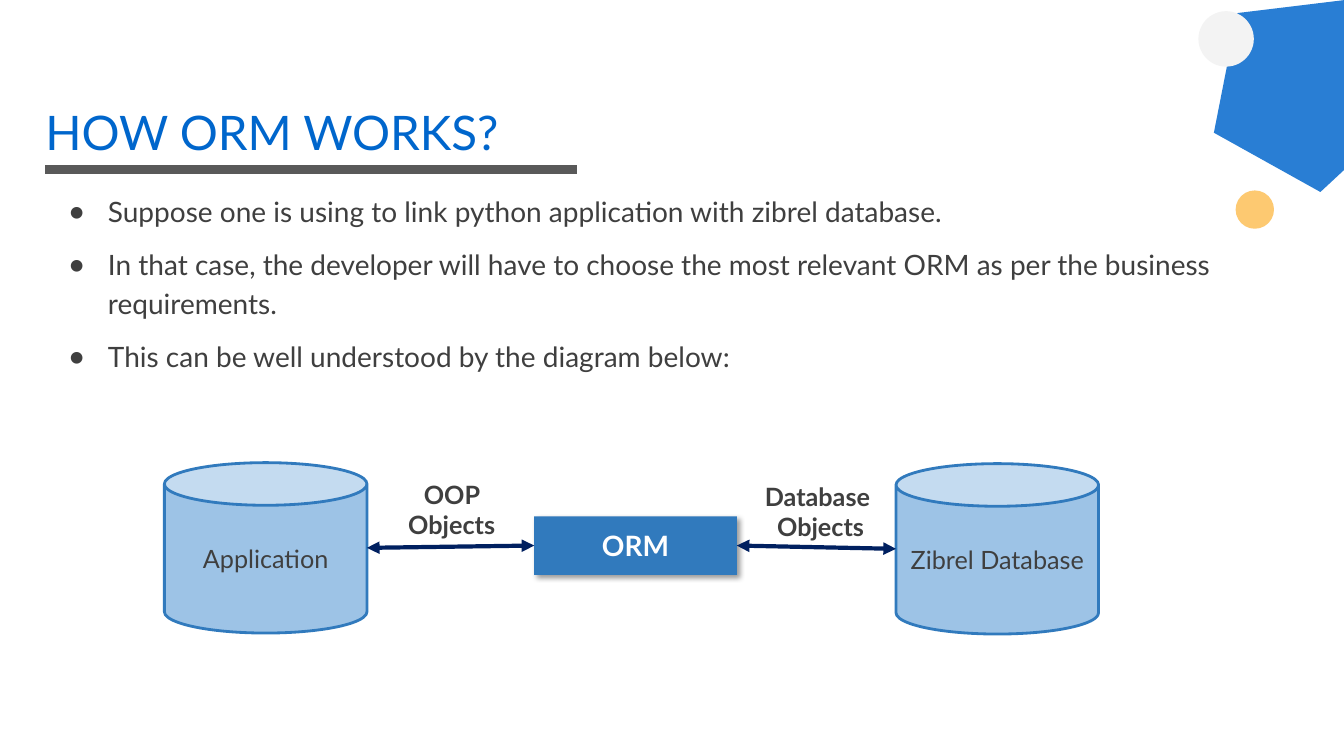
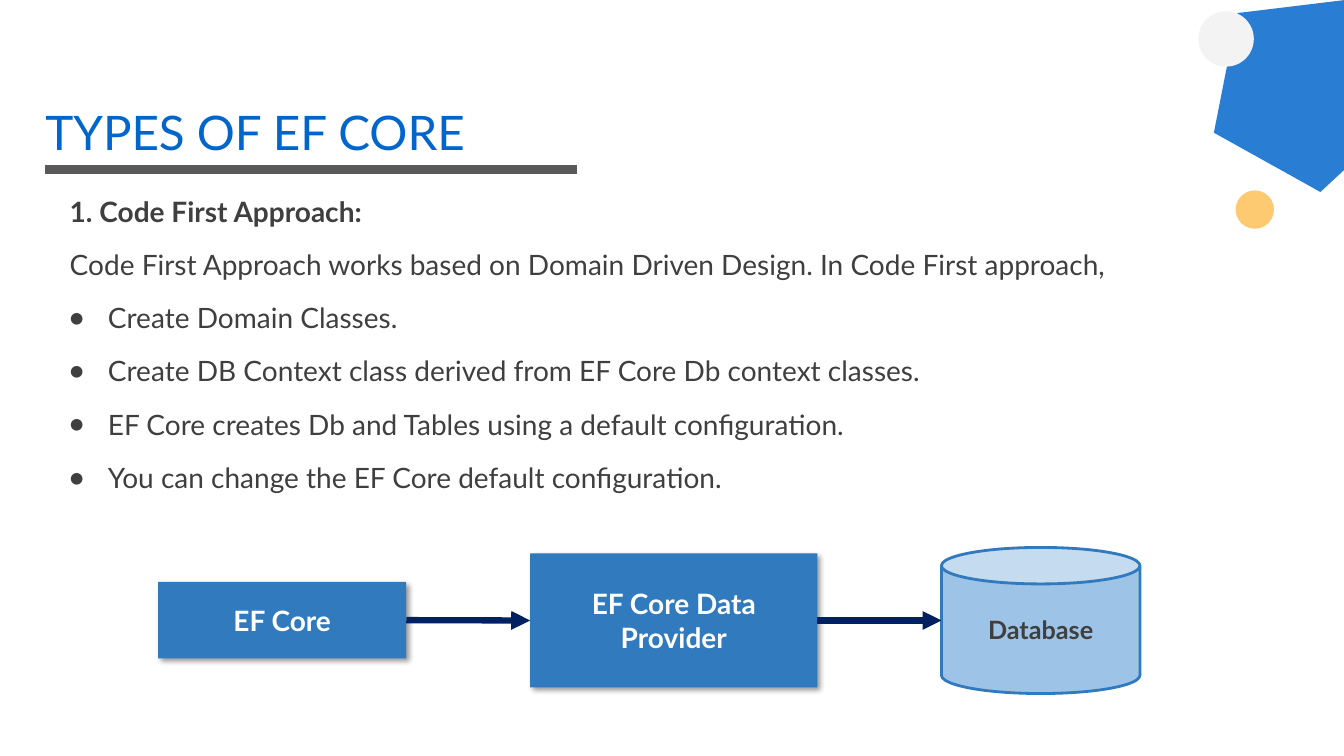
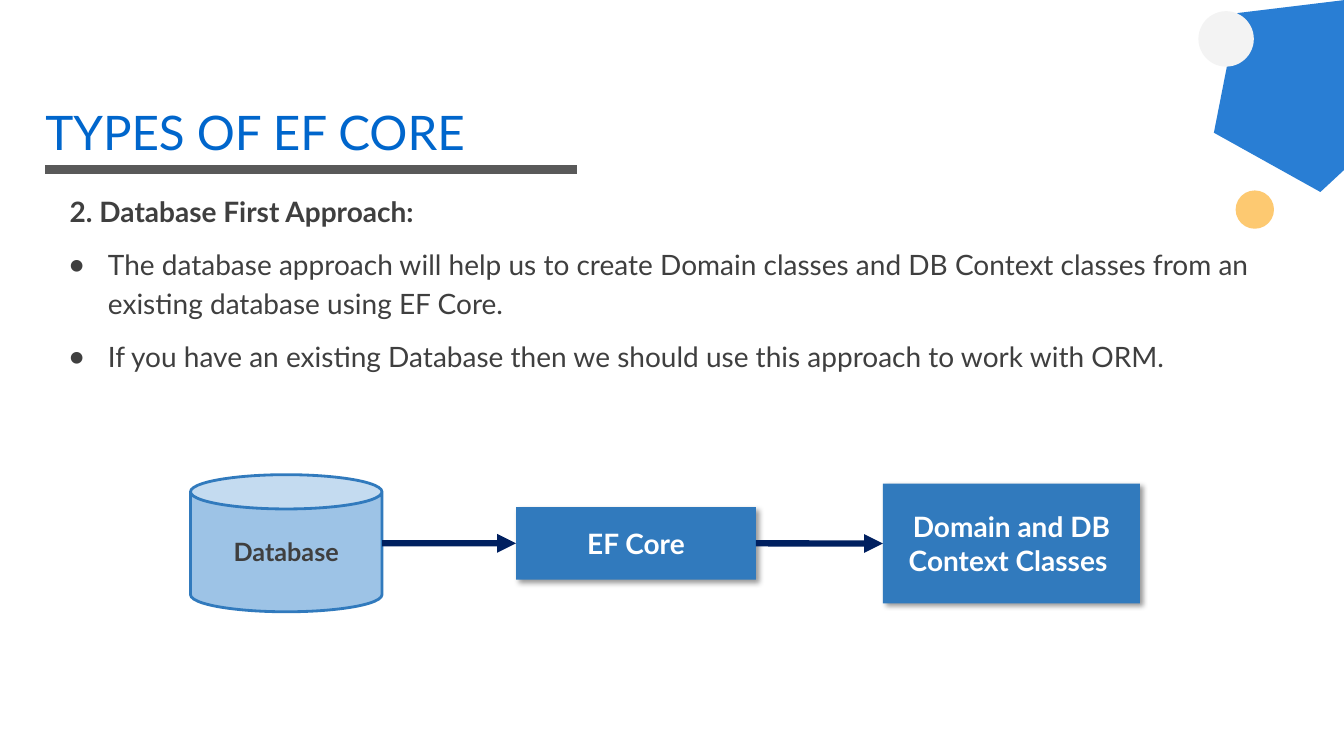
from lxml import etree
from pptx import Presentation
from pptx.dml.color import RGBColor
from pptx.enum import shapes, text
from pptx.oxml.ns import qn
from pptx.util import Pt

FONT = "Lato"
HUES = {
    "title": "0066CC", "text": "3F3F3F", "white": "FFFFFF", "rule": "595959",
    "gold": "FCA106", "pale": "F3F3F3", "box": "317ABD", "can": "9DC3E6",
    "arrow": "002060",
}
KINDS = shapes.MSO_SHAPE
MID = text.MSO_ANCHOR.MIDDLE
LEFT, CENTER = text.PP_ALIGN.LEFT, text.PP_ALIGN.CENTER


def hue(name):
    return RGBColor.from_string(HUES[name])


def node(parent, tag, **attrs):
    """Append a drawing element to parent."""
    item = etree.SubElement(parent, qn("a:" + tag))
    for key, value in attrs.items():
        item.set(key, str(value))
    return item


def write(frame, words, size=20, color="text", bold=False, align=CENTER,
          anchor=text.MSO_ANCHOR.TOP, pad=(7.2, 3.6), wrap=True):
    """Fill a frame with one paragraph per line of words."""
    frame.word_wrap = wrap
    frame.vertical_anchor = anchor
    frame.margin_left = frame.margin_right = Pt(pad[0])
    frame.margin_top = frame.margin_bottom = Pt(pad[1])
    for i, line in enumerate(words.split("\n")):
        par = frame.add_paragraph() if i else frame.paragraphs[0]
        par.alignment = align
        run = par.add_run()
        run.text = line
        font = run.font
        font.name, font.size, font.bold = FONT, Pt(size), bold
        font.color.rgb = hue(color)


class Deck:
    def __init__(self):
        self.show = Presentation()
        self.show.slide_width, self.show.slide_height = Pt(960), Pt(540)
        self.slide = None

    def page(self, title, points, head=""):
        """Start a slide with its decoration, title and body."""
        self.slide = self.show.slides.add_slide(self.show.slide_layouts[6])
        self.line((32.4, 121), (412, 121), "rule", 6)
        self.shape(KINDS.REGULAR_PENTAGON, (859, -8.6, 141, 134), "title",
                   alpha=84).rotation = 317.1
        self.shape(KINDS.OVAL, (882.6, 136, 27.4, 27.4), "gold", alpha=57)
        self.shape(KINDS.OVAL, (856, 8, 39.6, 39.6), "pale")
        self.body(head, points)
        self.label(title, (32.4, 72.7, 894, 57), size=34, color="title",
                   align=LEFT, pad=(0, 0.7))

    def shape(self, kind, spot, fill, alpha=100):
        item = self.slide.shapes.add_shape(kind, *map(Pt, spot))
        item.shadow.inherit = False
        item.fill.solid()
        item.fill.fore_color.rgb = hue(fill)
        item.line.fill.background()
        if alpha < 100:
            tint = item._element.spPr.find(".//" + qn("a:srgbClr"))
            node(tint, "alpha", val=alpha * 1000)
        return item

    def label(self, words, spot, **style):
        item = self.slide.shapes.add_textbox(*map(Pt, spot))
        write(item.text_frame, words, **style)
        return item

    def body(self, head, points):
        """Put plain head lines above bulleted points."""
        heads = head.split("\n") if head else []
        item = self.label("\n".join(heads + points), (32.4, 125.3, 885, 342.7),
                          align=LEFT, pad=(9.4, 9.4))
        for i, par in enumerate(item.text_frame.paragraphs):
            par.line_spacing, par.space_before = Pt(28), Pt(10)
            props = par._p.get_or_add_pPr()
            if i < len(heads):
                par.runs[0].font.bold = i == 0
                props.set("marL", str(Pt(8)))
                continue
            props.set("marL", str(Pt(35.3)))
            props.set("indent", str(Pt(-27.3)))
            node(node(props, "buClr"), "srgbClr", val=HUES["text"])
            node(props, "buSzPct", val=85000)
            node(props, "buFont", typeface=FONT)
            node(props, "buChar", char="●")

    def can(self, words, spot, bold=True):
        item = self.shape(KINDS.CAN, spot, "can")
        item.line.color.rgb = hue("box")
        item.line.width = Pt(2)
        write(item.text_frame, words, size=18, bold=bold, anchor=MID,
              pad=(3.6, 3.6))
        return item

    def box(self, words, spot):
        item = self.shape(KINDS.RECTANGLE, spot, "box")
        glow = node(item._element.spPr.find(qn("a:effectLst")), "outerShdw",
                    blurRad=Pt(4), dist=Pt(3), dir=2700000, algn="tl",
                    rotWithShape=0)
        node(node(glow, "srgbClr", val="000000"), "alpha", val=40000)
        write(item.text_frame, words, color="white", bold=True, anchor=MID)
        return item

    def line(self, start, end, color, width, tips=()):
        ends = [Pt(v) for v in (*start, *end)]
        item = self.slide.shapes.add_connector(
            shapes.MSO_CONNECTOR.STRAIGHT, *ends)
        item.line.color.rgb = hue(color)
        item.line.width = Pt(width)
        for tip in tips:
            node(item.line._get_or_add_ln(), tip, type="triangle")
        node(item._element.spPr, "effectLst")
        return item

    def link(self, left, right, width=4.5, tips=("tailEnd",)):
        """Draw an arrow from the right side of one shape to the next."""
        start = (left.left + left.width).pt if hasattr(
            left.left + left.width, "pt") else (left.left + left.width) / Pt(1)
        item = self.line(
            (start, (left.top + left.height / 2) / Pt(1)),
            (right.left / Pt(1), (right.top + right.height / 2) / Pt(1)),
            "arrow", width, tips)
        if left.auto_shape_type == KINDS.RECTANGLE:
            item.begin_connect(left, 3)
        if right.auto_shape_type == KINDS.RECTANGLE:
            item.end_connect(right, 1)


def main():
    deck = Deck()

    deck.page("HOW ORM WORKS?", [
        "Suppose one is using to link python application with zibrel database.",
        "In that case, the developer will have to choose the most relevant ORM "
        "as per the business requirements.",
        "This can be well understood by the diagram below:",
    ])
    app = deck.can("Application", (117.4, 330.5, 144.7, 121.7), bold=False)
    base = deck.can("Zibrel Database", (640, 331.2, 144.7, 121.7), bold=False)
    orm = deck.box("ORM", (381.6, 368.8, 144.7, 41.8))
    for pair in ((orm, base), (app, orm)):
        deck.link(*pair, width=3, tips=("headEnd", "tailEnd"))
    deck.label("OOP Objects", (283.7, 339, 77.8, 51), size=18, bold=True)
    deck.label("Database \nObjects", (538.6, 340, 95, 51), size=18, bold=True,
               wrap=False)

    deck.page("TYPES OF EF CORE", [
        "Create Domain Classes.",
        "Create DB Context class derived from EF Core Db context classes.",
        "EF Core creates Db and Tables using a default configuration.",
        "You can change the EF Core default configuration.",
    ], head="1. Code First Approach:\nCode First Approach works based on "
            "Domain Driven Design. In Code First approach,")
    base = deck.can("Database", (672.5, 391, 141.8, 104.4))
    feed = deck.box("EF Core Data Provider", (378.7, 395.3, 205.2, 95.8))
    core = deck.box("EF Core", (113, 415.6, 177.2, 54.7))
    deck.link(core, feed)
    deck.link(feed, base)

    deck.page("TYPES OF EF CORE", [
        "The database approach will help us to create Domain classes and DB "
        "Context classes from an existing database using EF Core.",
        "If you have an existing Database then we should use this approach to "
        "work with ORM.",
    ], head="2. Database First Approach:")
    base = deck.can("Database", (136.1, 339.1, 136.8, 97.9))
    core = deck.box("EF Core", (368.6, 362.2, 171.4, 51.8))
    model = deck.box("Domain and DB Context Classes ",
                     (630.7, 345.4, 183.6, 85.7))
    deck.link(base, core)
    deck.link(core, model)

    deck.show.save("out.pptx")


if __name__ == "__main__":
    main()
